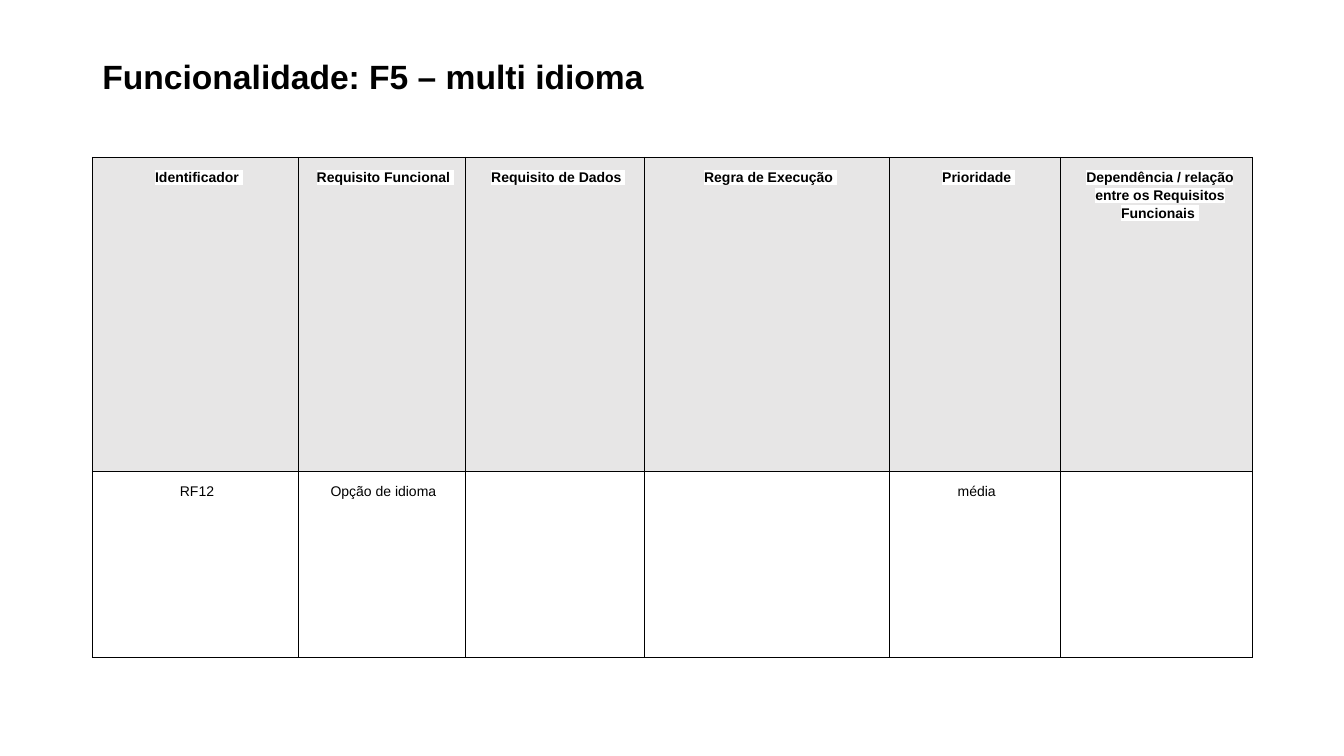
from lxml.etree import SubElement
from pptx import Presentation
from pptx.dml.color import RGBColor
from pptx.enum.text import MSO_ANCHOR as Anchor, PP_ALIGN as Align
from pptx.oxml import parse_xml
from pptx.oxml.ns import nsdecls, qn
from pptx.util import Pt

BLACK = RGBColor(0x00, 0x00, 0x00)
WHITE = RGBColor(0xFF, 0xFF, 0xFF)
HEADER_GRAY = RGBColor(0xE7, 0xE6, 0xE6)
FONT = "Arial"

COLUMN_WIDTHS = [147.2, 119.1, 128, 175.2, 122.3, 136.7]
ROW_HEIGHTS = [224.5, 133]
HEADERS = [
    "Identificador",
    "Requisito Funcional",
    "Requisito de Dados",
    "Regra de Execução",
    "Prioridade",
    "Dependência / relação entre os Requisitos Funcionais",
]
REQUIREMENT = ["RF12 ", "Opção de idioma ", "", "", "média ", ""]


def add_run(paragraph, text, size, bold=False):
    run = paragraph.add_run()
    run.text = text
    font = run.font
    font.name, font.size, font.bold = FONT, Pt(size), bold
    font.color.rgb = BLACK
    # White highlight behind the text
    highlight = parse_xml(
        f'<a:highlight {nsdecls("a")}><a:srgbClr val="{WHITE}"/></a:highlight>')
    run._r.rPr.find(qn("a:solidFill")).addnext(highlight)


def set_margins(item, horizontal, vertical):
    item.margin_left = item.margin_right = Pt(horizontal)
    item.margin_top = item.margin_bottom = Pt(vertical)


def set_borders(cell):
    properties = cell._tc.get_or_add_tcPr()
    for side in ("lnL", "lnR", "lnT", "lnB"):
        line = SubElement(properties, qn(f"a:{side}"), w=str(Pt(0.75)))
        fill = SubElement(line, qn("a:solidFill"))
        SubElement(fill, qn("a:srgbClr"), val=str(BLACK))


def fill_cell(cell, runs, color, before=4, after=6):
    set_margins(cell, 7.2, 7.2)
    set_borders(cell)
    cell.fill.solid()
    cell.fill.fore_color.rgb = color
    paragraph = cell.text_frame.paragraphs[0]
    paragraph.alignment = Align.CENTER
    paragraph.line_spacing = 1.15
    paragraph.space_before, paragraph.space_after = Pt(before), Pt(after)
    indents = paragraph._p.get_or_add_pPr()
    indents.set("marL", str(Pt(5)))
    indents.set("indent", "0")
    for text, bold in runs:
        add_run(paragraph, text, 10, bold)


def add_title(slide, text):
    title = slide.shapes.title
    title.left, title.top = Pt(66), Pt(28.8)
    title.width, title.height = Pt(828), Pt(54.7)
    frame = title.text_frame
    frame.word_wrap = True
    frame.vertical_anchor = Anchor.MIDDLE
    set_margins(frame, 7.2, 3.6)
    paragraph = frame.paragraphs[0]
    paragraph.alignment = Align.LEFT
    paragraph.line_spacing = 0.9
    add_run(paragraph, text, 24, True)
    add_run(paragraph, " ", 24)


def add_requirements_table(slide):
    table = slide.shapes.add_table(
        len(ROW_HEIGHTS), len(COLUMN_WIDTHS), Pt(66), Pt(112.3),
        Pt(sum(COLUMN_WIDTHS)), Pt(sum(ROW_HEIGHTS))).table
    table.first_row = table.horz_banding = False
    for column, width in zip(table.columns, COLUMN_WIDTHS):
        column.width = Pt(width)
    for row, height in zip(table.rows, ROW_HEIGHTS):
        row.height = Pt(height)

    # Header row
    for index, header in enumerate(HEADERS):
        fill_cell(table.cell(0, index), [(header, True), (" ", False)], HEADER_GRAY)

    # Requirement row: the identifier keeps the header's tighter spacing
    for index, text in enumerate(REQUIREMENT):
        before, after = (12, 12) if index else (4, 6)
        runs = [(text, False)] if text else []
        fill_cell(table.cell(1, index), runs, WHITE, before, after)


def main():
    presentation = Presentation()
    presentation.slide_width, presentation.slide_height = Pt(960), Pt(540)
    slide = presentation.slides.add_slide(presentation.slide_layouts[5])
    add_title(slide, "Funcionalidade: F5 – multi idioma")
    add_requirements_table(slide)
    presentation.save("out.pptx")


if __name__ == "__main__":
    main()
